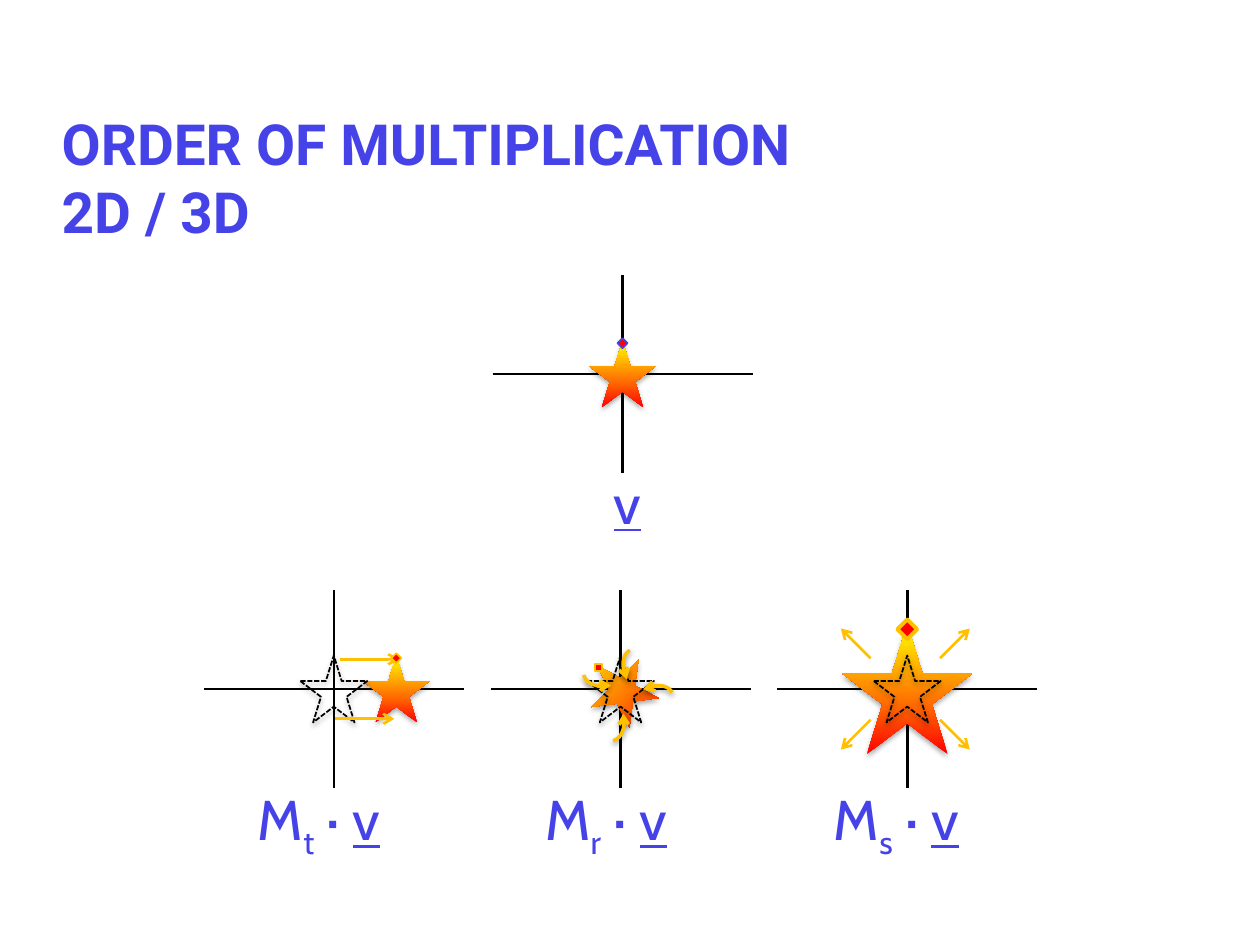
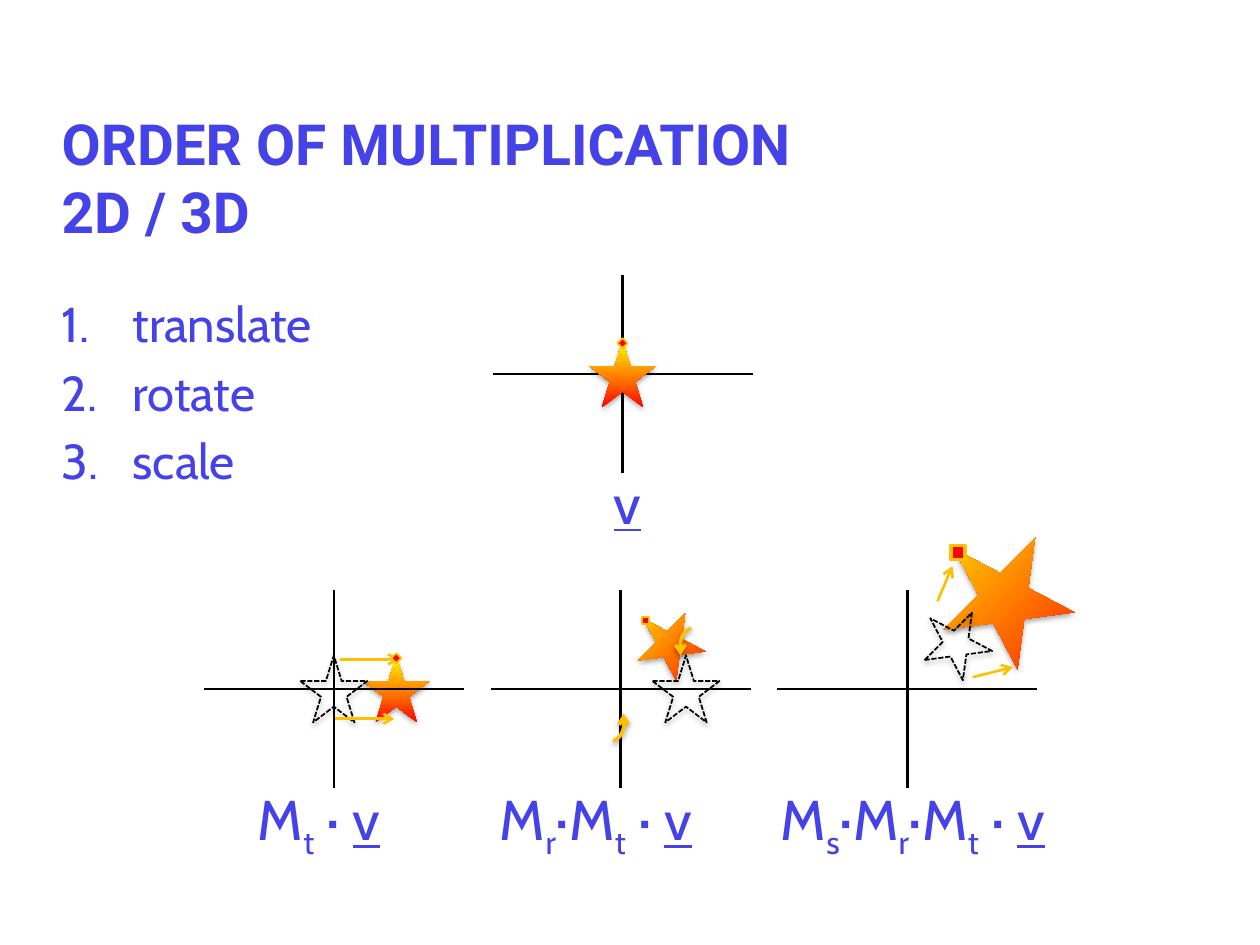
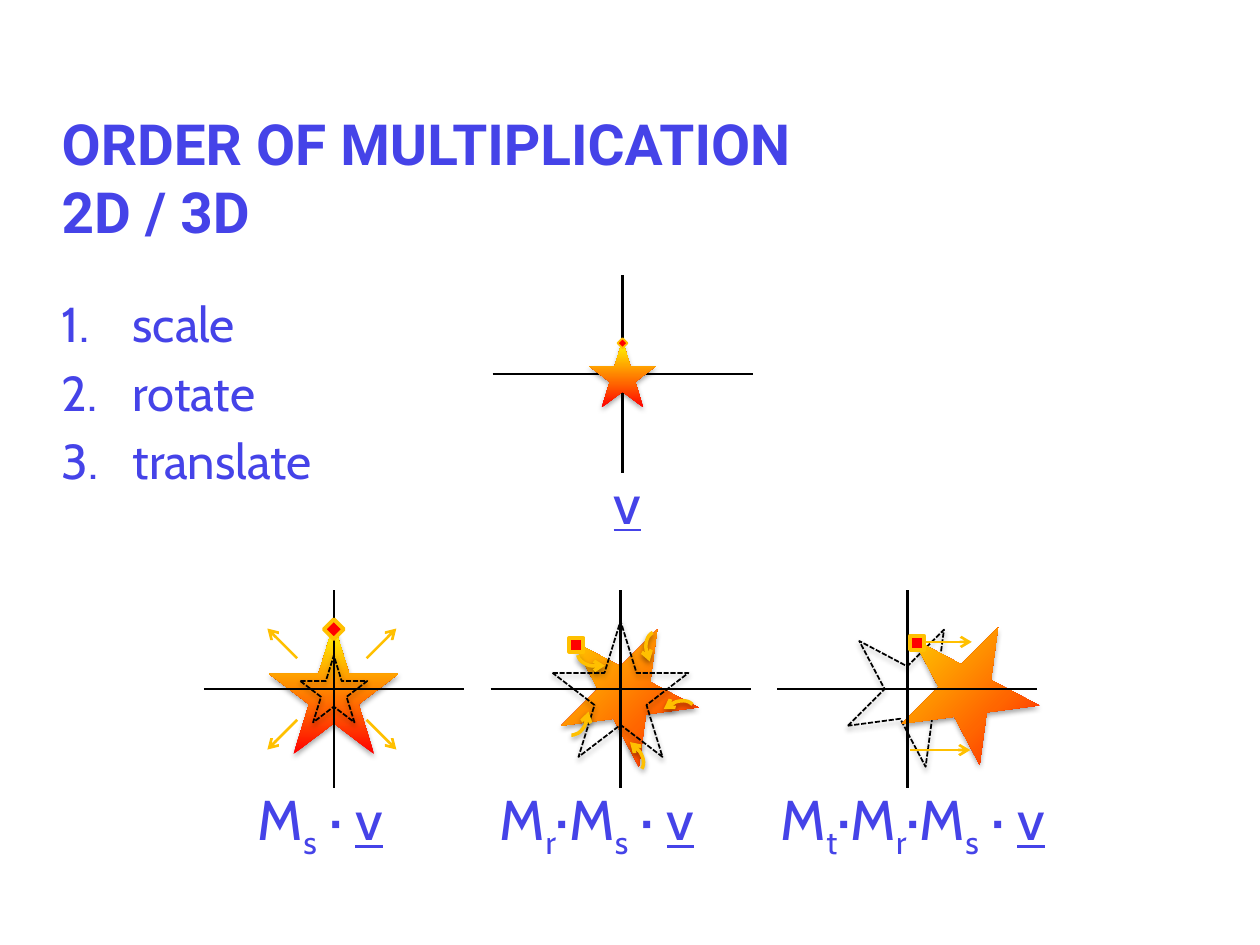
from math import cos, radians, sin

from pptx import Presentation
from pptx.dml.color import RGBColor
from pptx.enum import dml, shapes, text
from pptx.oxml import ns, parse_xml
from pptx.util import Cm, Pt

BLUE = RGBColor(0x45, 0x43, 0xE8)
GOLD = RGBColor(0xFF, 0xC0, 0x00)
RED = RGBColor(0xFF, 0x00, 0x00)
BLACK = RGBColor(0x00, 0x00, 0x00)
FLAME = [(0, "FF0000"), (36, "FF6600"), (100, "FFFF00")]

TITLE = "ORDER OF MULTIPLICATION\n2D / 3D"

# All lengths are in centimetres; places are offsets from the centre of a pane.
LEFT, MID, RIGHT, TOP = range(4)
PANES = [(6.73 + 5.78 * i, 13.89) for i in range(3)] + [(12.55, 7.54)]
HALF_W, HALF_H = 2.62, 1.99
SMALL, BIG, HUGE = 1.35, 2.62, 2.74
TIP = 0.46  # distance from star centre to its marker, as a share of star size
ARC_W, ARC_H = 1.4, 0.79

# Arrows: (pane, x1, y1, x2, y2)
SHIFT = [(LEFT, 0.13, -0.6, 1.32, -0.6), (LEFT, 0.03, 0.6, 1.22, 0.6)]


def spread(pane):
    """Four arrows that point outwards along the diagonals."""
    return [(pane, 0.7 * i - 0.04, 0.62 * j, 1.3 * i - 0.04, 1.22 * j)
            for i in (-1, 1) for j in (-1, 1)]


# Stars: (pane, dx, dy, size, rotation); arcs: (dx, dy, rotation) in the middle pane
# Labels: (matrix letters, left, width)
SLIDES = [
    dict(
        steps=[],
        labels=[("t", 4.95, 3.25), ("r", 10.74, 3.3), ("s", 16.56, 3.43)],
        under=[], ghosts_under=[],
        over=[(LEFT, 1.26, 0, SMALL, 0), (MID, 0, 0, SMALL, 315),
              (RIGHT, 0, 0, BIG, 0)],
        ghosts=[(i, 0, 0, SMALL, 0) for i in (LEFT, MID, RIGHT)],
        arrows=SHIFT + spread(RIGHT),
        arcs=[(-0.08, -0.51, 337.7), (-0.38, 0.38, 247.7),
              (0.46, 0.46, 142.7), (0.58, -0.2, 52.7)],
        rim=BLUE),
    dict(
        steps=["translate", "rotate", "scale"],
        labels=[("t", 4.95, 3.25), ("rt", 9.83, 4.85), ("srt", 15.49, 6.53)],
        under=[(LEFT, 1.26, 0, SMALL, 0), (MID, 0.94, -0.94, SMALL, 315),
               (RIGHT, 1.87, -1.9, BIG, 315)],
        ghosts_under=[], over=[],
        ghosts=[(LEFT, 0, 0, SMALL, 0), (MID, 1.32, 0, SMALL, 0),
                (RIGHT, 0.94, -0.95, SMALL, 315)],
        arrows=SHIFT + [(RIGHT, 0.61, -1.77, 0.91, -2.48),
                        (RIGHT, 1.32, -0.24, 2.13, -0.44)],
        arcs=[(-0.38, 0.38, 247.7), (1.65, -0.56, 67.7)],
        rim=GOLD),
    dict(
        steps=["scale", "rotate", "translate"],
        labels=[("s", 4.95, 3.43), ("rs", 9.83, 5.0), ("trs", 15.49, 6.53)],
        under=[(LEFT, 0, 0, BIG, 0), (MID, 0, 0, HUGE, 315),
               (RIGHT, 1.09, -0.04, HUGE, 315)],
        ghosts_under=[(RIGHT, 0, 0, HUGE, 315)], over=[],
        ghosts=[(LEFT, 0, 0, SMALL, 0), (MID, 0, 0, HUGE, 0)],
        arrows=spread(LEFT) + [(RIGHT, 0.1, -0.95, 1.3, -0.95),
                               (RIGHT, 0.05, 1.23, 1.27, 1.23)],
        arcs=[(-0.2, -0.91, 337.7), (-1.04, 0.23, 262.7), (0.99, 0.84, 127.7),
              (1.04, -0.56, 52.7), (-0.2, 1.3, 202.7)],
        rim=GOLD),
]
HOME = (TOP, 0, 0, SMALL, 0)


def node(xml):
    """Parse one element whose first tag is in the drawing namespace."""
    tag, rest = xml[:-2].split(" ", 1) if xml.endswith("/>") else xml.split(" ", 1)
    end = "/>" if xml.endswith("/>") else ""
    return parse_xml(f"{tag} {ns.nsdecls('a')} {rest}{end}")


def style(run, font, size, bold=False):
    run.font.name, run.font.size, run.font.bold = font, Pt(size), bold
    run.font.color.rgb = BLUE


def place(shape, x, y, w, h):
    shape.left, shape.top, shape.width, shape.height = Cm(x), Cm(y), Cm(w), Cm(h)


def add_title(slide):
    title = slide.shapes.title
    place(title, 0.99, 2.62, 22.86, 3.18)
    frame = title.text_frame
    frame.text = TITLE
    frame.auto_size = text.MSO_AUTO_SIZE.NONE
    frame.vertical_anchor = text.MSO_ANCHOR.MIDDLE
    frame.margin_bottom = Cm(1.4)
    for para in frame.paragraphs:
        para.alignment = text.PP_ALIGN.LEFT
        style(para.runs[0], "Roboto", 32.4, True)


def add_steps(slide, steps):
    body = slide.placeholders[1]
    place(body, 0.99, 5.79, 22.86, 11.23)
    frame = body.text_frame
    frame.text = "\n".join(steps)
    frame.auto_size = text.MSO_AUTO_SIZE.NONE
    for i, para in enumerate(frame.paragraphs):
        para.space_before = Pt(5.6 if i else 0)
        props = para._p.get_or_add_pPr()
        props.set("marL", str(Cm(1.43)))
        props.set("indent", str(-Cm(1.43)))
        props.append(node('<a:buFont typeface="+mj-lt"/>'))
        props.append(node('<a:buAutoNum type="arabicPeriod"/>'))
        style(para.runs[0], "Cabin", 28)


def add_label(slide, mats, x, y, w):
    """Write the product of the matrices and the underlined vector v."""
    box = slide.shapes.add_textbox(Cm(x), Cm(y), Cm(w), Cm(1.63))
    frame = box.text_frame
    frame.word_wrap = False
    frame.auto_size = text.MSO_AUTO_SIZE.SHAPE_TO_FIT_TEXT
    parts = []
    for i, sub in enumerate(mats):
        parts += [("·M" if i else "M", False), (sub, True)]
    if mats:
        parts.append((" · ", False))
    for word, low in parts + [("v", False)]:
        run = frame.paragraphs[0].add_run()
        run.text = word
        style(run, "Cabin", 32)
        if low:
            run._r.get_or_add_rPr().set("baseline", "-25000")
    run.font.underline = True


def add_line(slide, pane, x1, y1, x2, y2, color, arrow=False):
    px, py = PANES[pane]
    line = slide.shapes.add_connector(
        shapes.MSO_CONNECTOR.STRAIGHT,
        Cm(px + x1), Cm(py + y1), Cm(px + x2), Cm(py + y2))
    line.line.color.rgb, line.line.width = color, Pt(1.5)
    if arrow:
        line.line._get_or_add_ln().append(node('<a:tailEnd type="arrow"/>'))
    line._element.spPr.append(parse_xml(f"<a:effectLst {ns.nsdecls('a')}/>"))


def add_axes(slide):
    for pane in range(len(PANES)):
        add_line(slide, pane, -HALF_W, 0, HALF_W, 0, BLACK)
        add_line(slide, pane, 0, -HALF_H, 0, HALF_H, BLACK)


def add_form(slide, kind, pane, dx, dy, w, h, turn):
    px, py = PANES[pane]
    form = slide.shapes.add_shape(
        kind, Cm(px + dx - w / 2), Cm(py + dy - h / 2), Cm(w), Cm(h))
    form.rotation = turn
    return form


def add_shade(form, dist, alpha):
    form._element.spPr.append(node(
        f'<a:effectLst ><a:outerShdw blurRad="{Pt(3.1)}" dist="{Pt(dist)}" '
        'dir="5400000" rotWithShape="0"><a:srgbClr val="000000">'
        f'<a:alpha val="{alpha * 1000}"/></a:srgbClr></a:outerShdw></a:effectLst>'))


def add_star(slide, pane, dx, dy, size, turn, ghost=False):
    star = add_form(slide, shapes.MSO_SHAPE.STAR_5_POINT, pane, dx, dy,
                    size, size, turn)
    if ghost:
        star.fill.background()
        star.line.color.rgb, star.line.width = BLACK, Pt(1)
        star.line.dash_style = dml.MSO_LINE.SQUARE_DOT
    else:
        stops = "".join(f'<a:gs pos="{at * 1000}"><a:srgbClr val="{hue}"/></a:gs>'
                        for at, hue in FLAME)
        star._element.spPr.append(node(
            f'<a:gradFill rotWithShape="1"><a:gsLst>{stops}</a:gsLst>'
            '<a:lin ang="16200000" scaled="0"/></a:gradFill>'))
        star.line.fill.background()
    add_shade(star, 1.8, 35)


def add_mark(slide, pane, dx, dy, size, turn, rim):
    """Put a diamond at the first tip of the given star."""
    reach, angle = size * TIP, radians(turn)
    small = size == SMALL
    side = 0.2 if small else 0.4
    mark = add_form(slide, shapes.MSO_SHAPE.DIAMOND, pane,
                    dx + reach * sin(angle), dy - reach * cos(angle),
                    side, side, turn)
    mark.fill.solid()
    mark.fill.fore_color.rgb = RED
    mark.line.color.rgb, mark.line.width = rim, Pt(1 if small else 2.25)
    mark.shadow.inherit = False


def add_arc(slide, dx, dy, turn):
    arc = add_form(slide, shapes.MSO_SHAPE.ARC, MID, dx, dy, ARC_W, ARC_H, turn)
    for i, angle in enumerate((126.67, 183.23)):
        arc.adjustments[i] = angle * 0.6
    arc.fill.background()
    arc.line.color.rgb, arc.line.width = GOLD, Pt(2)
    arc.line._get_or_add_ln().append(node('<a:headEnd type="arrow"/>'))
    add_shade(arc, 1.6, 38)


def build(deck, data):
    steps = data["steps"]
    slide = deck.slides.add_slide(deck.slide_layouts[1 if steps else 5])
    add_title(slide)
    if steps:
        add_steps(slide, steps)
    for ghost in data["ghosts_under"]:
        add_star(slide, *ghost, ghost=True)
    for star in data["under"]:
        add_star(slide, *star)
    add_axes(slide)
    for star in data["over"] + [HOME]:
        add_star(slide, *star)
    for ghost in data["ghosts"]:
        add_star(slide, *ghost, ghost=True)
    for arrow in data["arrows"]:
        add_line(slide, *arrow, GOLD, arrow=True)
    for arc in data["arcs"]:
        add_arc(slide, *arc)
    for star in data["under"] + data["over"]:
        add_mark(slide, *star, GOLD)
    add_mark(slide, *HOME, data["rim"])
    add_label(slide, "", 12.12, 9.32, 1.09)
    for mats, x, w in data["labels"]:
        add_label(slide, mats, x, 15.7, w)


def main():
    deck = Presentation()
    deck.slide_width, deck.slide_height = Cm(25.4), Cm(19.05)
    for data in SLIDES:
        build(deck, data)
    deck.save("out.pptx")


if __name__ == "__main__":
    main()
